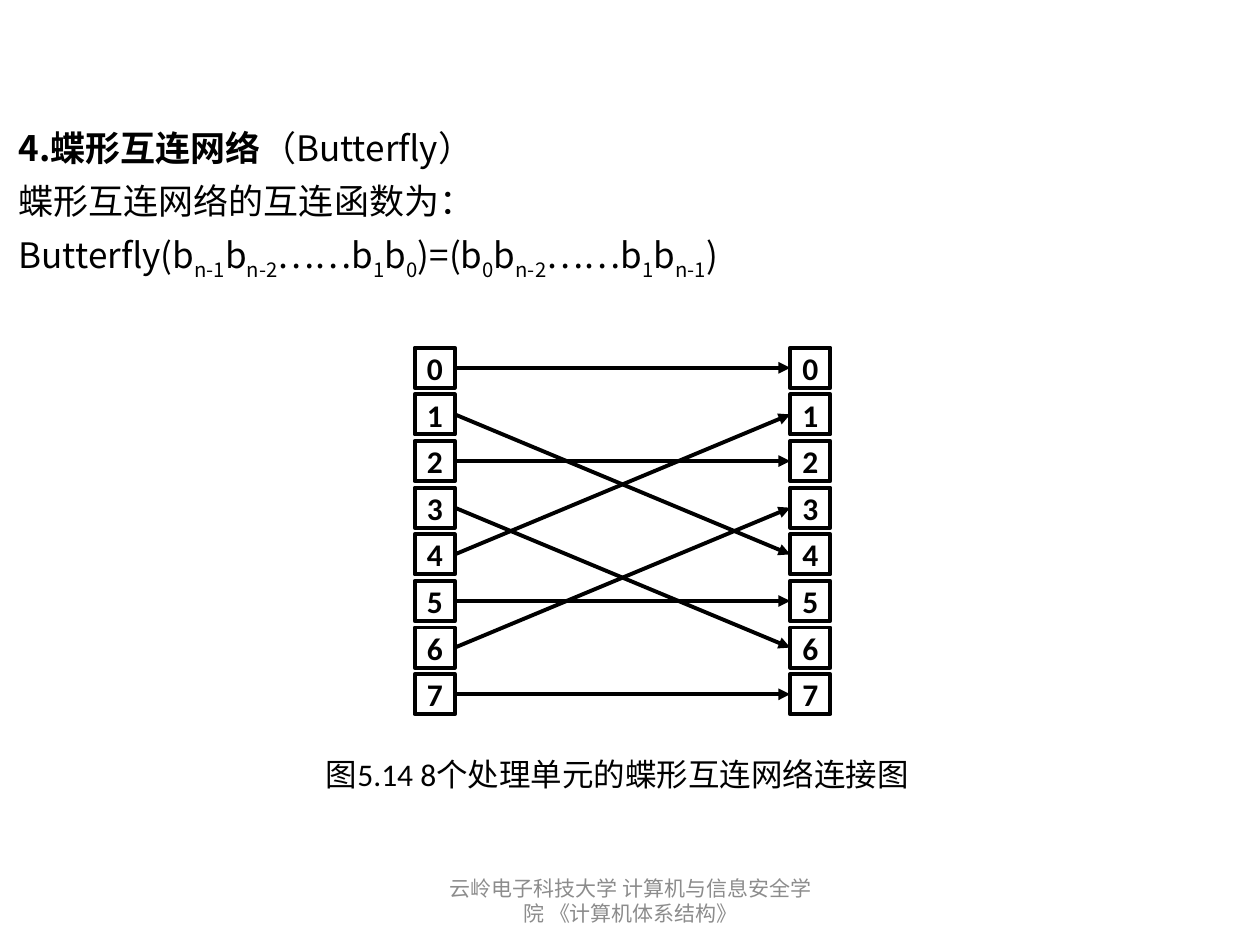
from lxml import etree
from pptx import Presentation
from pptx.dml.color import RGBColor
from pptx.enum.shapes import MSO_CONNECTOR, MSO_SHAPE
from pptx.enum.text import MSO_ANCHOR, MSO_AUTO_SIZE, PP_ALIGN
from pptx.oxml.ns import qn
from pptx.util import Cm, Pt

BLACK = RGBColor(0x00, 0x00, 0x00)
WHITE = RGBColor(0xFF, 0xFF, 0xFF)
GREY = RGBColor(0x8C, 0x8C, 0x8C)
LATIN, CJK = "Calibri", "Noto Sans CJK SC"
STRAIGHT, RECT = MSO_CONNECTOR.STRAIGHT, MSO_SHAPE.RECTANGLE
MIDDLE, TOP = MSO_ANCHOR.MIDDLE, MSO_ANCHOR.TOP
LEFT, CENTER = PP_ALIGN.LEFT, PP_ALIGN.CENTER
NO_FIT = MSO_AUTO_SIZE.NONE
LEFT_SITE, RIGHT_SITE = 1, 3
LINE_WIDTH = Pt(2.25)


class SlideWriter:
    def __init__(self, page):
        self.page = page

    def span(self, para, text, size, font=LATIN, color=BLACK, bold=False, sub=False):
        span = para.add_run()
        span.text = text
        span.font.size = Pt(size)
        span.font.bold = bold
        span.font.color.rgb = color
        span.font.name = font
        props = span._r.get_or_add_rPr()
        etree.SubElement(props, qn("a:ea"), typeface=CJK)
        if sub:
            props.set("baseline", "-25000")

    def body(self, place, lines, size, indent):
        box = self.page.placeholders[1]
        box.left, box.top, box.width, box.height = map(Cm, place)
        frame = box.text_frame
        frame.auto_size = NO_FIT
        frame.word_wrap = True
        frame.vertical_anchor = MIDDLE
        for number, spans in enumerate(lines):
            para = frame.add_paragraph() if number else frame.paragraphs[0]
            para.alignment = LEFT
            para.line_spacing = 1.25
            para.space_before = para.space_after = Pt(0)
            props = para._p.get_or_add_pPr()
            props.set("marL", str(Cm(indent)))
            props.set("indent", "0")
            etree.SubElement(props, qn("a:buNone"))
            for text, style in spans:
                self.span(para, text, size, CJK, **style)

    def label(self, place, text, size, color=BLACK, align=LEFT, anchor=TOP):
        box = self.page.shapes.add_textbox(*map(Cm, place))
        frame = box.text_frame
        frame.word_wrap = True
        frame.vertical_anchor = anchor
        para = frame.paragraphs[0]
        para.alignment = align
        self.span(para, text, size, color=color)

    def node(self, left, top, side, text):
        box = self.page.shapes.add_shape(RECT, Cm(left), Cm(top), Cm(side), Cm(side))
        box.shadow.inherit = False
        box.fill.solid()
        box.fill.fore_color.rgb = WHITE
        box.line.color.rgb = BLACK
        box.line.width = LINE_WIDTH
        frame = box.text_frame
        frame.margin_left = frame.margin_right = 0
        frame.margin_top = frame.margin_bottom = 0
        frame.vertical_anchor = MIDDLE
        para = frame.paragraphs[0]
        para.alignment = CENTER
        self.span(para, text, 18, bold=True)
        return box

    def arrow(self, source, target):
        arrow = self.page.shapes.add_connector(STRAIGHT, 0, 0, 0, 0)
        arrow.begin_connect(source, RIGHT_SITE)
        arrow.end_connect(target, LEFT_SITE)
        arrow.line.color.rgb = BLACK
        arrow.line.width = LINE_WIDTH
        etree.SubElement(arrow.line._get_or_add_ln(), qn("a:tailEnd"), type="triangle")
        etree.SubElement(arrow._element.spPr, qn("a:effectLst"))


def butterfly(number):
    """Swap the highest and lowest of three bits."""
    return (number & 1) << 2 | number & 2 | number >> 2


deck = Presentation()
deck.slide_width, deck.slide_height = Cm(25.4), Cm(19.05)
page = deck.slides.add_slide(deck.slide_layouts[1])
title = page.shapes.title
title._element.getparent().remove(title._element)
writer = SlideWriter(page)

# Heading and interconnection function
PLAIN, BOLD, SUB = {}, {"bold": True}, {"sub": True}
formula = [
    ("Butterfly(b", PLAIN), ("n-1", SUB), ("b", PLAIN), ("n-2", SUB),
    ("……b", PLAIN), ("1", SUB), ("b", PLAIN), ("0", SUB),
    (")=(b", PLAIN), ("0", SUB), ("b", PLAIN), ("n-2", SUB),
    ("……b", PLAIN), ("1", SUB), ("b", PLAIN), ("n-1", SUB), (")", PLAIN),
]
writer.body((-0.5, 2.29, 24, 3.43), [
    [("4.蝶形互连网络", BOLD), ("（Butterfly）", PLAIN)],
    [("蝶形互连网络的互连函数为：", PLAIN)],
    formula,
], size=20, indent=0.62)

# Processing units on both sides
UNITS, FIRST_TOP, PITCH, SIDE = range(8), 7.01, 0.94, 0.81
sources, targets = [
    [writer.node(left, FIRST_TOP + PITCH * unit, SIDE, str(unit)) for unit in UNITS]
    for left in (8.36, 15.93)
]

# Butterfly links
for unit in UNITS:
    writer.arrow(sources[unit], targets[butterfly(unit)])

# Caption and footer
writer.label((6.32, 15.09, 12.45, 1.02), "图5.14 8个处理单元的蝶形互连网络连接图", 18)
writer.label((8.69, 17.65, 8.05, 1.02), "云岭电子科技大学 计算机与信息安全学院 《计算机体系结构》",
             12, GREY, CENTER, MIDDLE)

deck.save("out.pptx")
